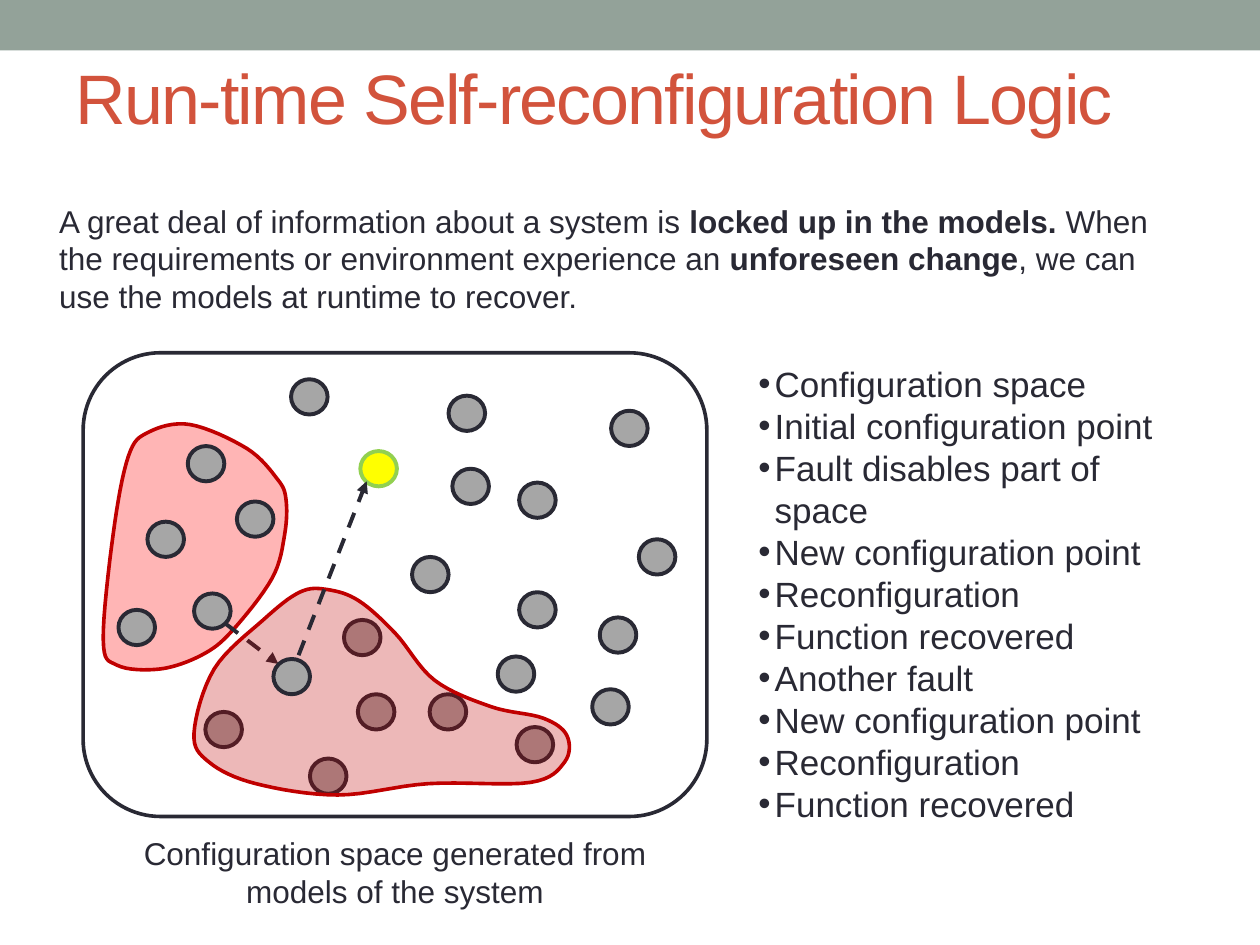
from lxml.etree import SubElement
from pptx import Presentation
from pptx.dml.color import RGBColor
from pptx.enum.dml import MSO_LINE
from pptx.enum.shapes import MSO_CONNECTOR, MSO_SHAPE
from pptx.enum.text import MSO_ANCHOR, MSO_AUTO_SIZE, PP_ALIGN
from pptx.oxml.ns import qn
from pptx.util import Inches, Pt

COLORS = {
    "bar": "93A299", "title": "D2533C", "ink": "292934", "dot": "A6A6A6",
    "goal": "FFFF00", "goal_edge": "92D050", "fault": "FF0000", "fault_edge": "C00000",
}
DOT_WIDTH, DOT_HEIGHT = Inches(0.29), Inches(0.28)
DOT_LINE, OUTLINE = 2.25, 2.08
CURVE_STEPS = 8


def write(frame, paragraphs, size=18, color="ink", align=PP_ALIGN.LEFT, bullet=False, spacing=None):
    frame.word_wrap = True
    for index, runs in enumerate(paragraphs):
        para = frame.paragraphs[0] if index == 0 else frame.add_paragraph()
        para.alignment = align
        if bullet:
            properties = para._p.get_or_add_pPr()
            properties.set("marL", str(Inches(0.13)))
            properties.set("indent", str(-Inches(0.13)))
            SubElement(properties, qn("a:buFont"), typeface="Arial")
            SubElement(properties, qn("a:buChar"), char="•")
        for text, bold in runs:
            span = para.add_run()
            span.text = text
            span.font.name = "Arial"
            span.font.size = Pt(size)
            span.font.bold = bold
            span.font.color.rgb = RGBColor.from_string(COLORS[color])
            if spacing is not None:
                span._r.get_or_add_rPr().set("spc", str(spacing))


def paint(shape, fill=None, line=None, width=OUTLINE, opacity=100):
    shape.shadow.inherit = False
    if fill:
        shape.fill.solid()
        shape.fill.fore_color.rgb = RGBColor.from_string(COLORS[fill])
        if opacity < 100:
            color = shape.fill._xPr.find(qn("a:solidFill"))[0]
            SubElement(color, qn("a:alpha"), val=str(opacity * 1000))
    else:
        shape.fill.background()
    if line:
        shape.line.color.rgb = RGBColor.from_string(COLORS[line])
        shape.line.width = Pt(width)
    else:
        shape.line.fill.background()


deck = Presentation()
deck.slide_width, deck.slide_height = Inches(10), Inches(7.5)
page = deck.slides.add_slide(deck.slide_layouts[5])
shapes = page.shapes

bar = shapes.add_shape(MSO_SHAPE.RECTANGLE, 0, 0, deck.slide_width, Inches(0.4))
paint(bar, "bar")

title = shapes.title
title.left, title.top, title.width, title.height = Inches(0.5), Inches(0.23), Inches(9), Inches(1.07)
title.text_frame.vertical_anchor = MSO_ANCHOR.MIDDLE
write(title.text_frame, [[("Run-time Self-reconfiguration Logic", False)]], size=40, color="title", spacing=-100)

space = shapes.add_shape(MSO_SHAPE.ROUNDED_RECTANGLE, Inches(0.66), Inches(2.8), Inches(4.95), Inches(3.68))
paint(space, line="ink")

first_fault_anchors = [
    (1.51, 3.37), (1.96, 3.56), (2.2, 3.8), (2.27, 3.96), (2.26, 4.24), (2.16, 4.59), (1.84, 5.01),
    (1.6, 5.2), (1.27, 5.31), (0.93, 5.28), (0.82, 5.08), (0.9, 4.23), (1.02, 3.62), (1.18, 3.43),
]
second_fault_anchors = [
    (2.6, 4.68), (2.85, 4.77), (3.14, 5.03), (3.45, 5.4), (3.9, 5.61), (4.31, 5.7), (4.5, 5.84), (4.48, 6.05),
    (4.21, 6.21), (3.4, 6.22), (2.68, 6.31), (2.03, 6.22), (1.66, 6.05), (1.54, 5.82), (1.7, 5.31), (2.09, 4.92),
    (2.38, 4.7),
]
first_fault_points = [(1.49, 3.54), (1.88, 3.98), (1.17, 4.14), (0.94, 4.84)]
second_fault_points = [(2.73, 4.92), (1.63, 5.65), (2.84, 5.51), (3.41, 5.51), (2.46, 6.02), (4.1, 5.77)]
working_points = [
    (2.31, 3.01), (3.56, 3.14), (4.85, 3.26), (3.59, 3.72), (4.12, 3.83), (5.07, 4.28),
    (3.27, 4.42), (4.12, 4.7), (4.76, 4.9), (3.95, 5.21), (4.7, 5.47),
]
initial_point, next_point, recovered_point = (1.54, 4.71), (2.17, 5.23), (2.86, 3.58)
first_move = [(1.79, 4.95), (2.21, 5.27)]
second_move = [(2.37, 5.2), (2.91, 3.82)]

layers = [
    ("region", first_fault_anchors, {"fill": "fault", "line": "fault_edge", "opacity": 29}),
    ("dots", first_fault_points + second_fault_points + working_points, {"fill": "dot", "line": "ink"}),
    ("arrow", first_move, {}),
    ("dots", [initial_point], {"fill": "dot", "line": "ink"}),
    ("region", second_fault_anchors, {"fill": "fault_edge", "line": "fault_edge", "opacity": 28}),
    ("dots", [recovered_point], {"fill": "goal", "line": "goal_edge"}),
    ("dots", [next_point], {"fill": "dot", "line": "ink"}),
    ("arrow", second_move, {}),
]
for kind, points, style in layers:
    places = [(Inches(x), Inches(y)) for x, y in points]
    if kind == "region":
        curve = []
        for index in range(len(places)):
            neighbours = [places[(index + offset) % len(places)] for offset in (-1, 0, 1, 2)]
            for step in range(CURVE_STEPS):
                t = step / CURVE_STEPS
                # Catmull-Rom weights carry the outline smoothly through every anchor
                weights = (
                    (-t + 2 * t**2 - t**3) / 2,
                    (2 - 5 * t**2 + 3 * t**3) / 2,
                    (t + 4 * t**2 - 3 * t**3) / 2,
                    (t**3 - t**2) / 2,
                )
                curve.append(tuple(
                    round(sum(weight * place[axis] for weight, place in zip(weights, neighbours)))
                    for axis in (0, 1)
                ))
        outline = shapes.build_freeform(*curve[0])
        outline.add_line_segments(curve[1:], close=True)
        paint(outline.convert_to_shape(), **style)
    elif kind == "dots":
        for left, top in places:
            dot = shapes.add_shape(MSO_SHAPE.OVAL, left, top, DOT_WIDTH, DOT_HEIGHT)
            paint(dot, width=DOT_LINE, **style)
    else:
        start, end = places
        arrow = shapes.add_connector(MSO_CONNECTOR.STRAIGHT, *start, *end)
        arrow.line.color.rgb = RGBColor.from_string(COLORS["ink"])
        arrow.line.width = Pt(DOT_LINE)
        arrow.line.dash_style = MSO_LINE.DASH
        SubElement(arrow.line._get_or_add_ln(), qn("a:tailEnd"), type="triangle")
        SubElement(arrow._element.spPr, qn("a:effectLst"))

intro = [[
    ("A great deal of information about a system is ", False),
    ("locked up in the models. ", True),
    ("When the requirements or environment experience an ", False),
    ("unforeseen change", True),
    (", we can use the models at runtime to recover.", False),
]]
recovery = ["New configuration point", "Reconfiguration", "Function recovered"]
steps = [
    "Configuration space", "Initial configuration point",
    "Fault disables part of space", *recovery,
    "Another fault", *recovery,
]
caption = [[("Configuration space generated from models of the system", False)]]
texts = [
    ((5.92, 2.83, 3.7, 3.47), [[(step, False)] for step in steps], {"size": 20, "bullet": True}),
    ((0.37, 1.55, 9.12, 1.01), intro, {}),
    ((0.66, 6.57, 4.95, 0.71), caption, {"align": PP_ALIGN.CENTER}),
]
for bounds, paragraphs, style in texts:
    box = shapes.add_textbox(*[Inches(value) for value in bounds])
    box.text_frame.auto_size = MSO_AUTO_SIZE.SHAPE_TO_FIT_TEXT
    write(box.text_frame, paragraphs, **style)

deck.save("out.pptx")
